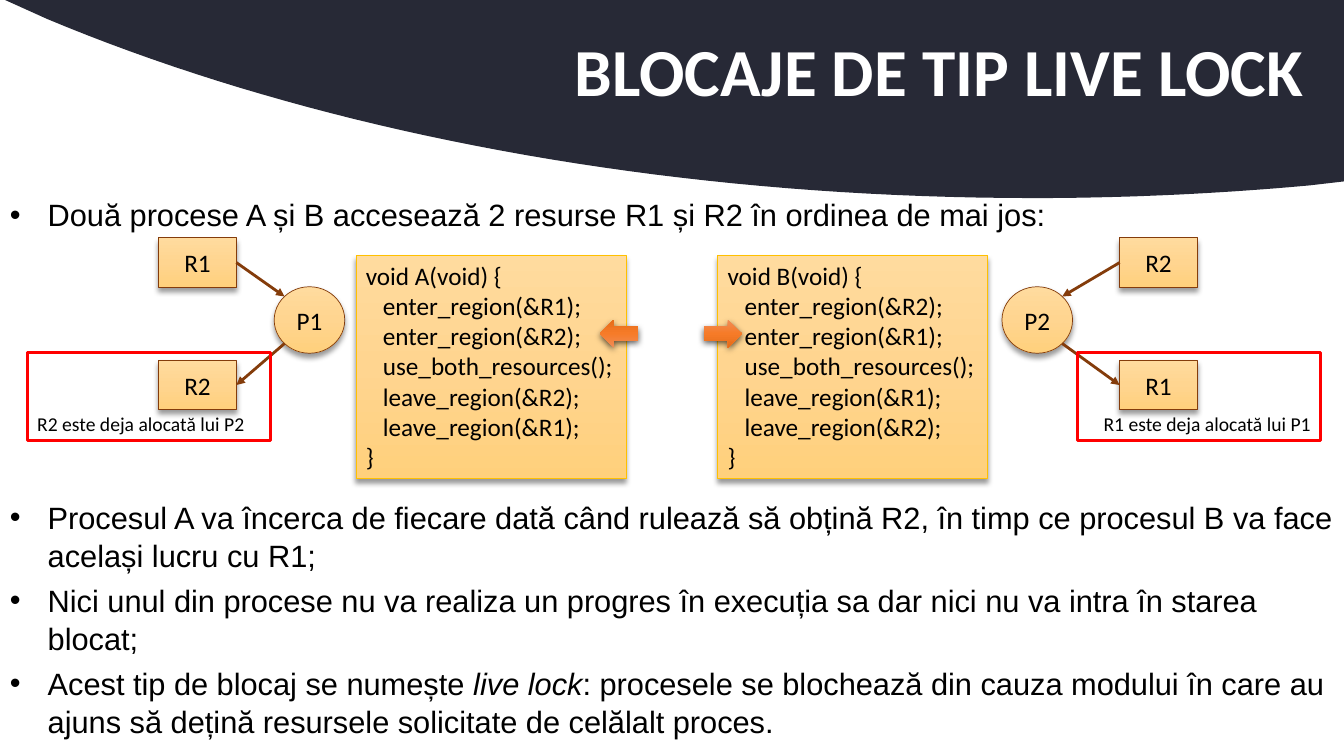
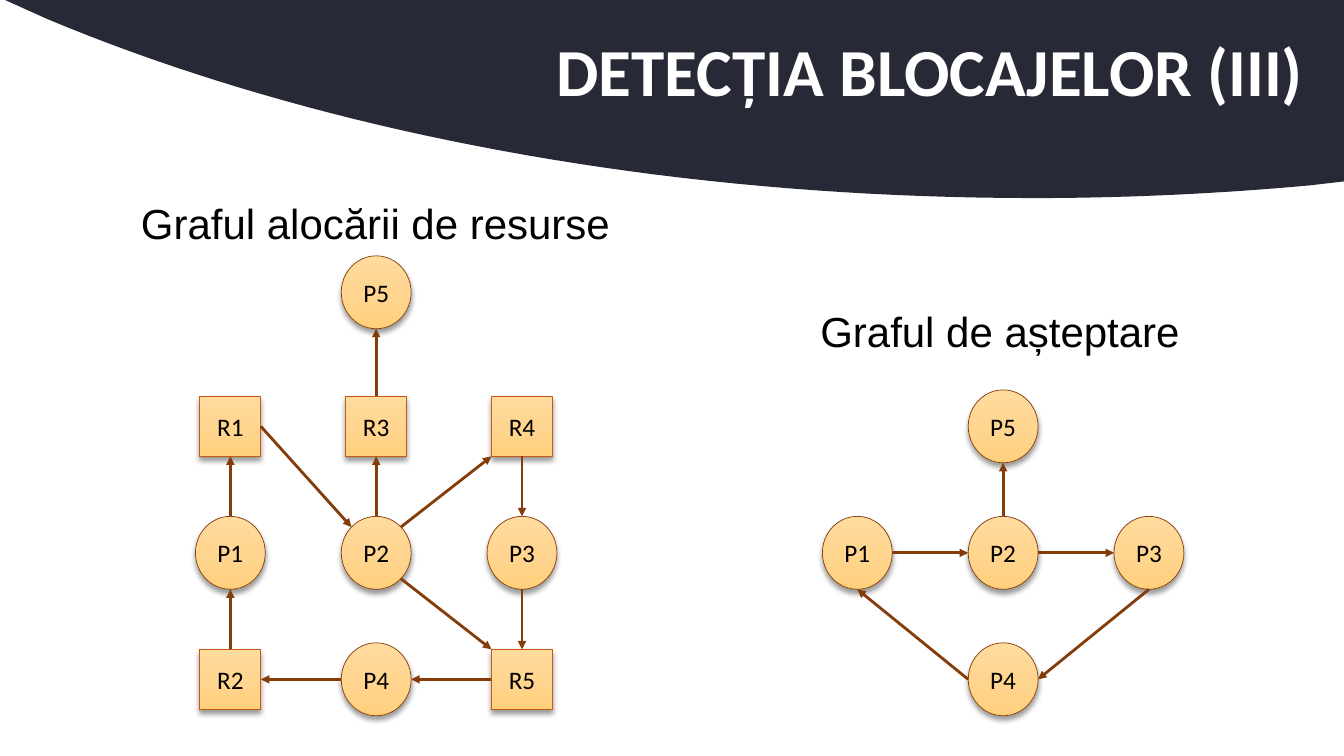
from copy import deepcopy
from lxml.etree import SubElement
from pptx import Presentation
from pptx.dml.color import RGBColor
from pptx.enum.shapes import MSO_CONNECTOR, MSO_SHAPE
from pptx.enum.text import MSO_ANCHOR, PP_ALIGN
from pptx.oxml.ns import qn
from pptx.util import Inches, Pt

WIDTH, HEIGHT = Inches(13.333), Inches(7.5)
NAVY, BLACK, WHITE, RED = "272936", "000000", "FFFFFF", "FF0000"
BROWN, RUST, GOLD = "843C0B", "C55A11", "FFC000"
PEACH = ("FFDB9E", "FFD590", "FFD07C")
ORANGE = ("F18C57", "F67B28", "E56C19")
SOFT = dict(alpha=40, blur=4, dist=3)
HARD = dict(alpha=63, blur=4.5, dist=1.5)

STYLES = {
    "title": dict(
        font=dict(name="Calibri", size=Pt(48), bold=True), color=WHITE,
        par=dict(alignment=PP_ALIGN.RIGHT, line_spacing=0.9),
        frame=dict(vertical_anchor=MSO_ANCHOR.MIDDLE, margin_right=Inches(0.4))),
    "bullets": dict(
        font=dict(name="Arial", size=Pt(22)), par=dict(line_spacing=1.04),
        bullet="•", gap=Pt(4.4)),
    "heading": dict(
        font=dict(name="Arial", size=Pt(30)), par=dict(line_spacing=0.9)),
    "node": dict(
        font=dict(name="Calibri", size=Pt(18)),
        par=dict(alignment=PP_ALIGN.CENTER),
        frame=dict(vertical_anchor=MSO_ANCHOR.MIDDLE)),
    "code": dict(
        font=dict(name="Calibri", size=Pt(18)),
        par=dict(alignment=PP_ALIGN.LEFT),
        frame=dict(vertical_anchor=MSO_ANCHOR.TOP, word_wrap=False)),
    "note": dict(
        font=dict(name="Calibri", size=Pt(14)),
        frame=dict(vertical_anchor=MSO_ANCHOR.BOTTOM)),
}

SITES = {
    MSO_SHAPE.RECTANGLE: ["n", "w", "s", "e"],
    MSO_SHAPE.OVAL: ["n", "nw", "w", "sw", "s", "se", "e", "ne"],
}


def rgb(value):
    return RGBColor.from_string(value)


def assign(target, values):
    for key, value in values.items():
        setattr(target, key, value)


def bezier(p0, p1, p2, p3, steps=40):
    for i in range(1, steps + 1):
        t = i / steps
        u = 1 - t
        yield tuple(u**3 * a + 3 * u * u * t * b + 3 * u * t * t * c + t**3 * d
                    for a, b, c, d in zip(p0, p1, p2, p3))


def side_point(sp, side):
    dx = ("e" in side) - ("w" in side)
    dy = ("s" in side) - ("n" in side)
    oval = sp.auto_shape_type == MSO_SHAPE.OVAL
    k = 0.5 * (0.5**0.5 if oval and dx and dy else 1)
    return (int(sp.left + sp.width * (0.5 + k * dx)),
            int(sp.top + sp.height * (0.5 + k * dy)))


class Deck:
    def __init__(self):
        self.prs = Presentation()
        self.prs.slide_width, self.prs.slide_height = WIDTH, HEIGHT
        self.s = None

    def place(self, x, y):
        return int(WIDTH * x / 100), int(HEIGHT * y / 100)

    def slide(self, title):
        self.s = self.prs.slides.add_slide(self.prs.slide_layouts[6])
        self.band()
        self.text((6.9, 0.27, 93.1, 19.33), [title], "title")

    def band(self):
        edge, low, tip = (97.43, 24.53), (76.95, 26.2), (3.53, 2.53)
        points = [(100, 0), (100, 24), edge,
                  *bezier(edge, (90.75, 25.6), (83.93, 26.2), low),
                  *bezier(low, (49.05, 26.2), (23.48, 17.33), tip)]
        builder = self.s.shapes.build_freeform(*self.place(0.38, 0))
        builder.add_line_segments([self.place(*p) for p in points])
        sp = builder.convert_to_shape()
        sp.shadow.inherit = False
        sp.fill.solid()
        sp.fill.fore_color.rgb = rgb(NAVY)
        sp.line.fill.background()

    def fill_text(self, sp, lines, style, align=None):
        fmt = STYLES[style]
        tf = sp.text_frame
        assign(tf, {"word_wrap": True, **fmt.get("frame", {})})
        for i, line in enumerate(lines):
            p = tf.add_paragraph() if i else tf.paragraphs[0]
            assign(p, fmt.get("par", {}))
            if align is not None:
                p.alignment = align
            if i and "gap" in fmt:
                p.space_before = fmt["gap"]
            if "bullet" in fmt:
                pPr = p._p.get_or_add_pPr()
                pPr.set("marL", "342900")
                pPr.set("indent", "-342900")
                SubElement(pPr, qn("a:buFont")).set("typeface", "Arial")
                SubElement(pPr, qn("a:buChar")).set("char", fmt["bullet"])
            for j, part in enumerate(line.split("*")):
                r = p.add_run()
                r.text = part
                assign(r.font, fmt["font"])
                r.font.color.rgb = rgb(fmt.get("color", BLACK))
                if j % 2:
                    r.font.italic = True

    def text(self, box, lines, style, align=None):
        sp = self.s.shapes.add_textbox(*self.place(*box[:2]), *self.place(*box[2:]))
        self.fill_text(sp, lines, style, align)

    def shape(self, kind, box, colors=None, line=None, width=0.5, shadow=None):
        sp = self.s.shapes.add_shape(kind, *self.place(*box[:2]), *self.place(*box[2:]))
        sp.shadow.inherit = False
        if colors:
            self.gradient(sp, colors)
        else:
            sp.fill.background()
        if line:
            sp.line.color.rgb = rgb(line)
            sp.line.width = Pt(width)
        else:
            sp.line.fill.background()
        if shadow:
            self.shade(sp, **shadow)
        return sp

    def gradient(self, sp, colors):
        sp.fill.gradient()
        sp.fill.gradient_angle = 270
        stops = next(sp._element.spPr.iter(qn("a:gsLst")))
        stops.insert(1, deepcopy(stops[0]))
        for i, (stop, color) in enumerate(zip(sp.fill.gradient_stops, colors)):
            stop.color.rgb = rgb(color)
            stop.position = i / 2

    def shade(self, sp, alpha, blur, dist):
        effects = sp._element.spPr.find(qn("a:effectLst"))
        outer = SubElement(effects, qn("a:outerShdw"), blurRad=str(Pt(blur)),
                           dist=str(Pt(dist)), dir="5400000", rotWithShape="0")
        color = SubElement(outer, qn("a:srgbClr"), val=BLACK)
        SubElement(color, qn("a:alpha"), val=str(alpha * 1000))

    def node(self, label, center, size, line=BROWN):
        kind = MSO_SHAPE.OVAL if label.startswith("P") else MSO_SHAPE.RECTANGLE
        (x, y), (w, h) = center, size
        sp = self.shape(kind, (x - w / 2, y - h / 2, w, h), PEACH, line, shadow=SOFT)
        self.fill_text(sp, [label], "node")
        return sp

    def code(self, x, lines):
        sp = self.shape(MSO_SHAPE.RECTANGLE, (x, 33.73, 20.1, 29.6), PEACH, GOLD,
                        shadow=SOFT)
        self.fill_text(sp, lines, "code")

    def note(self, x, label, align):
        sp = self.shape(MSO_SHAPE.RECTANGLE, (x, 46.67, 18.1, 11.6), line=RED, width=2)
        self.fill_text(sp, [label], "note", align)

    def pointer(self, x, rotation):
        sp = self.shape(MSO_SHAPE.RIGHT_ARROW, (x, 42.27, 2.85, 3.73), ORANGE,
                        shadow=HARD)
        sp.rotation = rotation

    def arrow(self, start, start_side, end, end_side):
        cxn = self.s.shapes.add_connector(
            MSO_CONNECTOR.STRAIGHT, *side_point(start, start_side),
            *side_point(end, end_side))
        cxn.line.color.rgb = rgb(BROWN)
        cxn.line.width = Pt(2)
        spPr = cxn._element.spPr
        SubElement(spPr.find(qn("a:ln")), qn("a:tailEnd"), type="triangle")
        SubElement(spPr, qn("a:effectLst"))
        glue = next(cxn._element.iter(qn("p:cNvCxnSpPr")))
        for tag, sp, side in (("a:stCxn", start, start_side),
                              ("a:endCxn", end, end_side)):
            sites = SITES[sp.auto_shape_type]
            if side in sites:
                SubElement(glue, qn(tag), id=str(sp.shape_id),
                           idx=str(sites.index(side)))

    def graph(self, left, cells, edges):
        nodes = {}
        for label, (col, row) in cells.items():
            process = label.startswith("P")
            nodes[label] = self.node(
                label, (left + 10.85 * col, 56.4 + 16.73 * row),
                (5.2, 9.65) if process else (4.54, 7.94),
                BROWN if process else RUST)
        for edge in edges:
            start, start_side, end, end_side = edge.split()
            self.arrow(nodes[start], start_side, nodes[end], end_side)


def routine(name, first, second):
    calls = [f"enter_region(&{first});", f"enter_region(&{second});",
             "use_both_resources();",
             f"leave_region(&{second});", f"leave_region(&{first});"]
    return [f"void {name}(void) {{", *("   " + call for call in calls), "}"]


def live_lock(deck):
    deck.slide("BLOCAJE DE TIP LIVE LOCK")
    deck.text((0, 25.07, 100, 6), [
        "Două procese A și B accesează 2 resurse R1 și R2 în ordinea de mai jos:",
    ], "bullets")
    deck.text((0, 65.07, 100, 33), [
        "Procesul A va încerca de fiecare dată când rulează să obțină R2, "
        "în timp ce procesul B va face același lucru cu R1;",
        "Nici unul din procese nu va realiza un progres în execuția sa "
        "dar nici nu va intra în starea blocat;",
        "Acest tip de blocaj se numește *live lock*: procesele se blochează din cauza "
        "modului în care au ajuns să dețină resursele solicitate de celălalt proces.",
    ], "bullets")
    sides = [
        ("A", "P1", "P2", "R1", "R2", 26.48, 14.7, 23.03, 2.03, "e", "w", PP_ALIGN.LEFT),
        ("B", "P2", "P1", "R2", "R1", 53.4, 86.2, 77.18, 80.18, "w", "e", PP_ALIGN.RIGHT),
    ]
    for (name, process, other, held, wanted, code_x, resource_x, process_x, note_x,
         inner, outer, align) in sides:
        deck.code(code_x, routine(name, held, wanted))
        top = deck.node(held, (resource_x, 34.73), (5.78, 6.53))
        owner = deck.node(process, (process_x, 42.33), (5.25, 8.8))
        bottom = deck.node(wanted, (resource_x, 50.93), (5.78, 6.53))
        deck.arrow(top, inner, owner, "n" + outer)
        deck.arrow(owner, "s" + outer, bottom, inner)
        deck.note(note_x, f"{wanted} este deja alocată lui {other}", align)
    deck.pointer(52.35, 0)
    deck.pointer(44.63, 180)


def detection(deck):
    deck.slide("DETECȚIA BLOCAJELOR (III)")
    deck.text((9.53, 26.27, 36.83, 7.87), ["Graful alocării de resurse"],
              "heading", PP_ALIGN.CENTER)
    deck.graph(17.14, {
        "P5": (1, -1.06),
        "R1": (0, 0), "R3": (1, 0), "R4": (2, 0),
        "P1": (0, 1), "P2": (1, 1), "P3": (2, 1),
        "R2": (0, 2), "P4": (1, 2), "R5": (2, 2),
    }, ["P1 n R1 s", "R1 e P2 nw", "R2 n P1 s", "P4 w R2 e", "R5 w P4 e", "P3 s R5 n",
        "P2 se R5 nw", "R4 s P3 n", "P2 ne R4 sw", "P2 n R3 s", "R3 n P5 s"])
    deck.text((60.3, 40.53, 28.73, 7.87), ["Graful de așteptare"], "heading")
    deck.graph(63.79, {
        "P5": (1, 0), "P1": (0, 1), "P2": (1, 1), "P3": (2, 1), "P4": (1, 2),
    }, ["P1 e P2 w", "P2 e P3 w", "P4 w P1 s", "P3 s P4 e", "P2 n P5 s"])


def main():
    deck = Deck()
    live_lock(deck)
    detection(deck)
    deck.prs.save("out.pptx")


if __name__ == "__main__":
    main()
